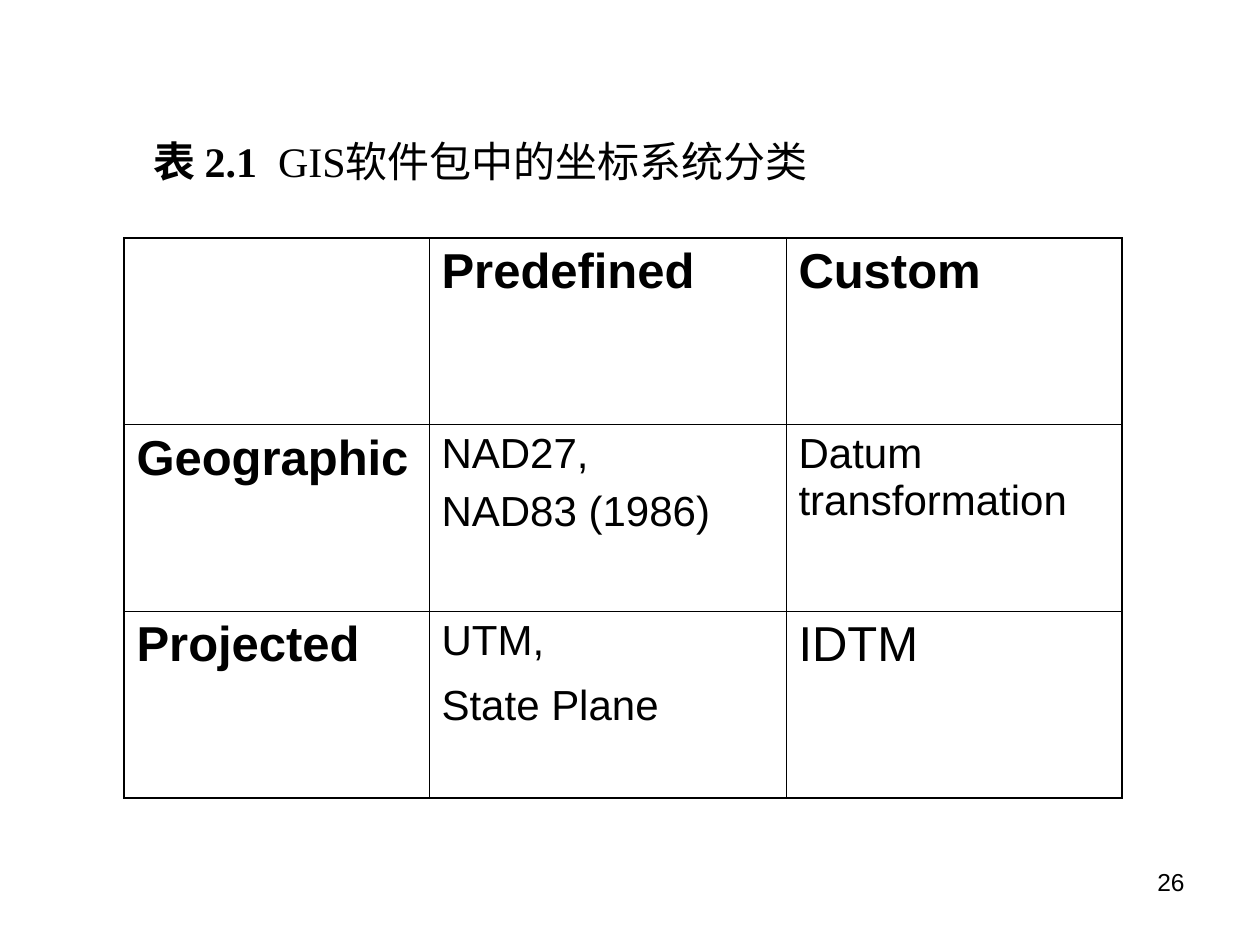
from pptx import Presentation
from pptx import util as u
from pptx.dml.color import RGBColor
from pptx.enum import text
from pptx.oxml import parse_xml
from pptx.oxml.ns import nsdecls

SCALE = u.Inches(1) / 126
BLACK = RGBColor(0, 0, 0)
OUTER, INNER = u.Pt(1.08), u.Pt(0.45)
COLUMNS = (305, 357, 336)
HEAD = {"size": u.Pt(28), "bold": True}
BODY = {"size": u.Pt(24), "bold": False}
LARGE = {"size": u.Pt(28), "bold": False}
ROWS = [
    [[], [[("Predefined", HEAD)]], [[("Custom", HEAD)]]],
    [
        [[("Geographic", HEAD)]],
        [[("NAD27,", BODY)], [("NAD83 (1986)", BODY)]],
        [[("Datum transformation", BODY)]],
    ],
    [
        [[("Projected", HEAD)]],
        [[("UTM,", BODY)], [("State Plane", BODY), (" ", LARGE)]],
        [[("IDTM", LARGE)]],
    ],
]


def px(length):
    """Turn pixels into EMU."""
    return u.Emu(round(length * SCALE))


def assign(target, values):
    """Set each named attribute on the target."""
    for name, value in values.items():
        setattr(target, name, value)


def add_span(para, words, font_name, values):
    """Append a formatted run of black text."""
    span = para.add_run()
    span.text = words
    assign(span.font, {"name": font_name, **values})
    span.font.color.rgb = BLACK


def place(shape, box):
    """Move a shape to a pixel box."""
    assign(shape, dict(zip(("left", "top", "width", "height"), map(px, box))))


def add_title(page, box):
    """Fill the title placeholder with the table caption."""
    title = page.shapes.title
    place(title, box)
    assign(title.text_frame, {
        "word_wrap": False,
        "vertical_anchor": text.MSO_ANCHOR.MIDDLE,
        "auto_size": text.MSO_AUTO_SIZE.SHAPE_TO_FIT_TEXT,
    })
    para = title.text_frame.paragraphs[0]
    para.alignment = text.PP_ALIGN.CENTER
    add_span(para, "表 2.1 ", "Times New Roman", {**BODY, "bold": True})
    add_span(para, " GIS软件包中的坐标系统分类", "Times New Roman", BODY)


def set_borders(cell, row, column):
    """Draw thick lines on the table edge and thin lines inside."""
    edges = {
        "L": column == 0,
        "R": column == len(COLUMNS) - 1,
        "T": row == 0,
        "B": row == len(ROWS) - 1,
    }
    properties = cell._tc.get_or_add_tcPr()
    for side, on_edge in edges.items():
        width = OUTER if on_edge else INNER
        properties.append(parse_xml(
            f'<a:ln{side} {nsdecls("a")} w="{int(width)}"><a:solidFill>'
            f'<a:srgbClr val="{BLACK}"/></a:solidFill></a:ln{side}>'
        ))


def fill_cell(cell, paragraphs):
    """Write the paragraphs of one cell."""
    for index, spans in enumerate(paragraphs):
        frame = cell.text_frame
        para = frame.add_paragraph() if index else frame.paragraphs[0]
        if index:
            para.space_before = u.Pt(6 if len(spans) == 1 else 7)
        for words, values in spans:
            add_span(para, words, "Arial", values)


def add_classification(page, box):
    """Build the coordinate system table inside the box."""
    frame = page.shapes.add_table(len(ROWS), len(COLUMNS), *map(px, box))
    table = frame.table
    assign(table, {"first_row": False, "horz_banding": False})
    for column, width in zip(table.columns, COLUMNS):
        column.width = px(width)
    for row, contents in enumerate(ROWS):
        table.rows[row].height = px(box[3] / len(ROWS))
        for column, paragraphs in enumerate(contents):
            cell = table.cell(row, column)
            set_borders(cell, row, column)
            cell.fill.background()
            fill_cell(cell, paragraphs)


def add_page_number(page, box):
    """Write the page number at the right of the box."""
    frame = page.shapes.add_textbox(*map(px, box)).text_frame
    frame.word_wrap = True
    para = frame.paragraphs[0]
    para.alignment = text.PP_ALIGN.RIGHT
    add_span(para, "26", "Arial", {"size": u.Pt(14)})


def main():
    """Build and save the deck."""
    deck = Presentation()
    assign(deck, {"slide_width": px(1260), "slide_height": px(945)})
    page = deck.slides.add_slide(deck.slide_layouts.get_by_name("Title Only"))
    add_page_number(page, (903, 861, 294, 66))
    add_title(page, (130, 129, 701, 63))
    add_classification(page, (124, 238, sum(COLUMNS), 560))
    deck.save("out.pptx")


if __name__ == "__main__":
    main()
